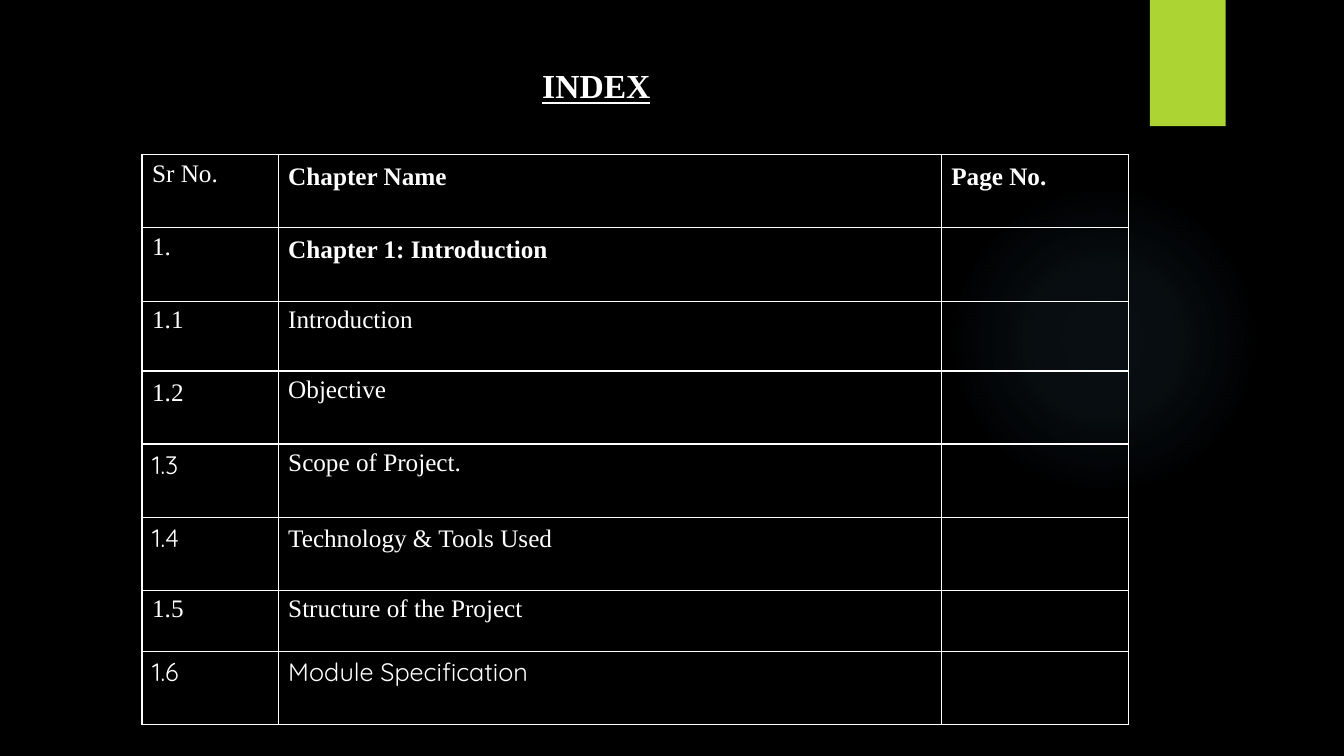
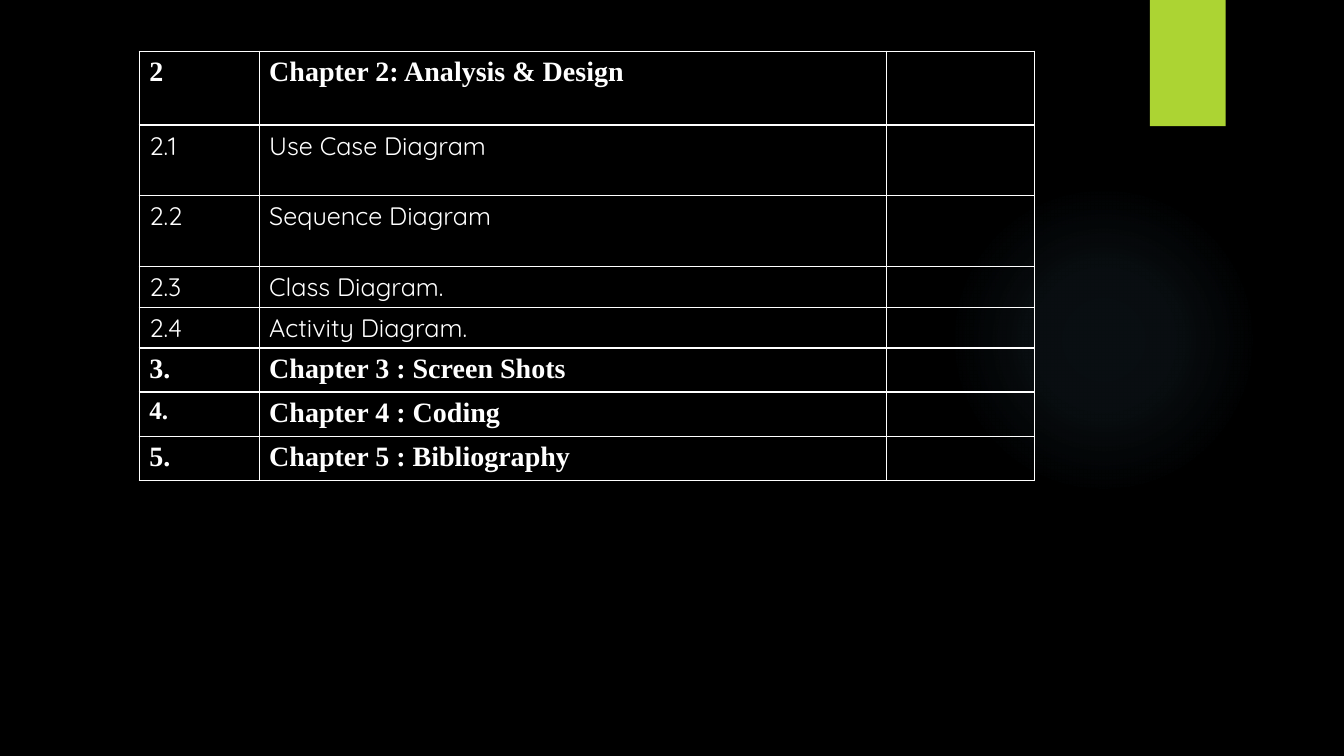
from dataclasses import dataclass

from lxml import etree
from pptx import Presentation
from pptx.dml.color import RGBColor
from pptx.enum import shapes, text
from pptx.oxml import ns
from pptx.util import Cm, Pt


@dataclass(frozen=True)
class TextStyle:
    """Holds the look of one kind of text."""
    font: str
    size: int = 18
    bold: bool = False
    underline: bool = False
    top: float = 0.13


class Theme:
    """Holds the colours and type styles of the deck."""
    BLACK = "000000"
    WHITE = "FFFFFF"
    LIME = "ACD433"
    GLOW = "7AC4F0"
    GLOW_STOPS = ((0, 7), (36, 6), (69, 0))
    SERIF = "Times New Roman"
    TITLE = TextStyle(SERIF, 24, bold=True, underline=True)
    PLAIN = TextStyle(SERIF)
    LOW = TextStyle(SERIF, top=0.21)
    HEAD = TextStyle(SERIF, bold=True, top=0.21)
    STRONG = TextStyle(SERIF, bold=True)
    CHAPTER = TextStyle(SERIF, 20, bold=True)
    ROUND = TextStyle("Quicksand")


class Deck:
    """Builds pages in one shared style."""

    def __init__(self):
        """Starts an empty widescreen deck."""
        self.deck = Presentation()
        self.deck.slide_width, self.deck.slide_height = Cm(33.87), Cm(19.05)
        self.page = None

    def add_page(self):
        """Adds a black page with its glow and lime band."""
        self.page = self.deck.slides.add_slide(self.deck.slide_layouts[6])
        background = self.page.background.fill
        background.solid()
        background.fore_color.rgb = RGBColor.from_string(Theme.BLACK)
        self.glow(23.9, 4.65, 7.82)
        self.band(28.98, 0, 1.91, 3.18)

    def shape(self, kind, left, top, width, height):
        """Adds a preset shape without line or shadow."""
        shape = self.page.shapes.add_shape(
            kind, Cm(left), Cm(top), Cm(width), Cm(height))
        shape.shadow.inherit = False
        shape.line.fill.background()
        return shape

    def band(self, left, top, width, height):
        """Adds a lime rectangle."""
        band = self.shape(shapes.MSO_SHAPE.RECTANGLE, left, top, width, height)
        band.fill.solid()
        band.fill.fore_color.rgb = RGBColor.from_string(Theme.LIME)

    def glow(self, left, top, size):
        """Adds a circle that fades out from its centre."""
        circle = self.shape(shapes.MSO_SHAPE.OVAL, left, top, size, size)
        circle.fill.gradient()
        gradient = circle._element.spPr.find(ns.qn("a:gradFill"))
        for child in list(gradient):
            gradient.remove(child)
        stops = etree.SubElement(gradient, ns.qn("a:gsLst"))
        for position, opacity in Theme.GLOW_STOPS:
            stop = etree.SubElement(stops, ns.qn("a:gs"), pos=str(position * 1000))
            colour = etree.SubElement(stop, ns.qn("a:srgbClr"), val=Theme.GLOW)
            etree.SubElement(colour, ns.qn("a:alpha"), val=str(opacity * 1000))
        circular = etree.SubElement(gradient, ns.qn("a:path"), path="circle")
        etree.SubElement(circular, ns.qn("a:fillToRect"),
                         dict.fromkeys("ltrb", "50000"))

    def set_text(self, frame, words, style):
        """Puts one styled paragraph into a text frame."""
        para = frame.paragraphs[0]
        para.text = words
        para.font.name = style.font
        para.font.size = Pt(style.size)
        para.font.bold = style.bold
        para.font.underline = style.underline
        para.font.color.rgb = RGBColor.from_string(Theme.WHITE)
        return para

    def title(self, words, left, top, width, height):
        """Adds the underlined page title."""
        box = self.page.shapes.add_textbox(Cm(left), Cm(top), Cm(width), Cm(height))
        box.text_frame.word_wrap = False
        para = self.set_text(box.text_frame, words, Theme.TITLE)
        para.alignment = text.PP_ALIGN.CENTER

    def border(self, cell):
        """Draws a thin white line on each side of a cell."""
        properties = cell._tc.get_or_add_tcPr()
        for index, side in enumerate(("lnL", "lnR", "lnT", "lnB")):
            line = etree.Element(ns.qn(f"a:{side}"), w=str(Pt(1)))
            fill = etree.SubElement(line, ns.qn("a:solidFill"))
            etree.SubElement(fill, ns.qn("a:srgbClr"), val=Theme.WHITE)
            properties.insert(index, line)

    def table(self, left, top, widths, rows):
        """Adds a ruled table from rows of a height and styled cells."""
        height = sum(row[0] for row in rows)
        table = self.page.shapes.add_table(
            len(rows), len(widths), Cm(left), Cm(top),
            Cm(sum(widths)), Cm(height)).table
        table.first_row = table.horz_banding = False
        for column, width in zip(table.columns, widths):
            column.width = Cm(width)
        for row, (height, *entries) in zip(table.rows, rows):
            row.height = Cm(height)
            for cell in row.cells:
                cell.fill.background()
                self.border(cell)
            for cell, (words, style) in zip(row.cells, entries):
                cell.margin_top = Cm(style.top)
                self.set_text(cell.text_frame, words, style)

    def save(self):
        """Saves the deck."""
        self.deck.save("out.pptx")


def main():
    """Builds both index pages."""
    plain, low, head = Theme.PLAIN, Theme.LOW, Theme.HEAD
    strong, chapter, rounded = Theme.STRONG, Theme.CHAPTER, Theme.ROUND
    deck = Deck()

    deck.add_page()
    deck.table(3.58, 3.89, (3.43, 16.71, 4.72), (
        (1.85, ("Sr No.", plain), ("Chapter Name", head), ("Page No.", head)),
        (1.85, ("1.", plain), ("Chapter 1: Introduction", head)),
        (1.76, ("1.1", plain), ("Introduction", plain)),
        (1.84, ("1.2", low), ("Objective", plain)),
        (1.84, ("1.3", rounded), ("Scope of Project.", plain)),
        (1.84, ("1.4", rounded), ("Technology & Tools Used", low)),
        (1.55, ("1.5", plain), ("Structure of the Project", plain)),
        (1.84, ("1.6", rounded), ("Module Specification", rounded)),
    ))
    deck.title("INDEX", 13.39, 1.52, 3.28, 1.27)

    deck.add_page()
    deck.table(3.51, 1.29, (3.02, 15.82, 3.73), (
        (1.86, ("2", chapter), ("Chapter 2: Analysis & Design", chapter)),
        (1.77, ("2.1", rounded), ("Use Case Diagram", rounded)),
        (1.79, ("2.2", rounded), ("Sequence Diagram", rounded)),
        (1.03, ("2.3", rounded), ("Class Diagram.", rounded)),
        (1.03, ("2.4", rounded), ("Activity Diagram.", rounded)),
        (1.11, ("3.", chapter), ("Chapter 3 : Screen Shots", chapter)),
        (1.11, ("4.", strong), ("Chapter 4 : Coding", chapter)),
        (1.11, ("5.", chapter), ("Chapter 5 : Bibliography", chapter)),
    ))
    deck.save()


if __name__ == "__main__":
    main()
